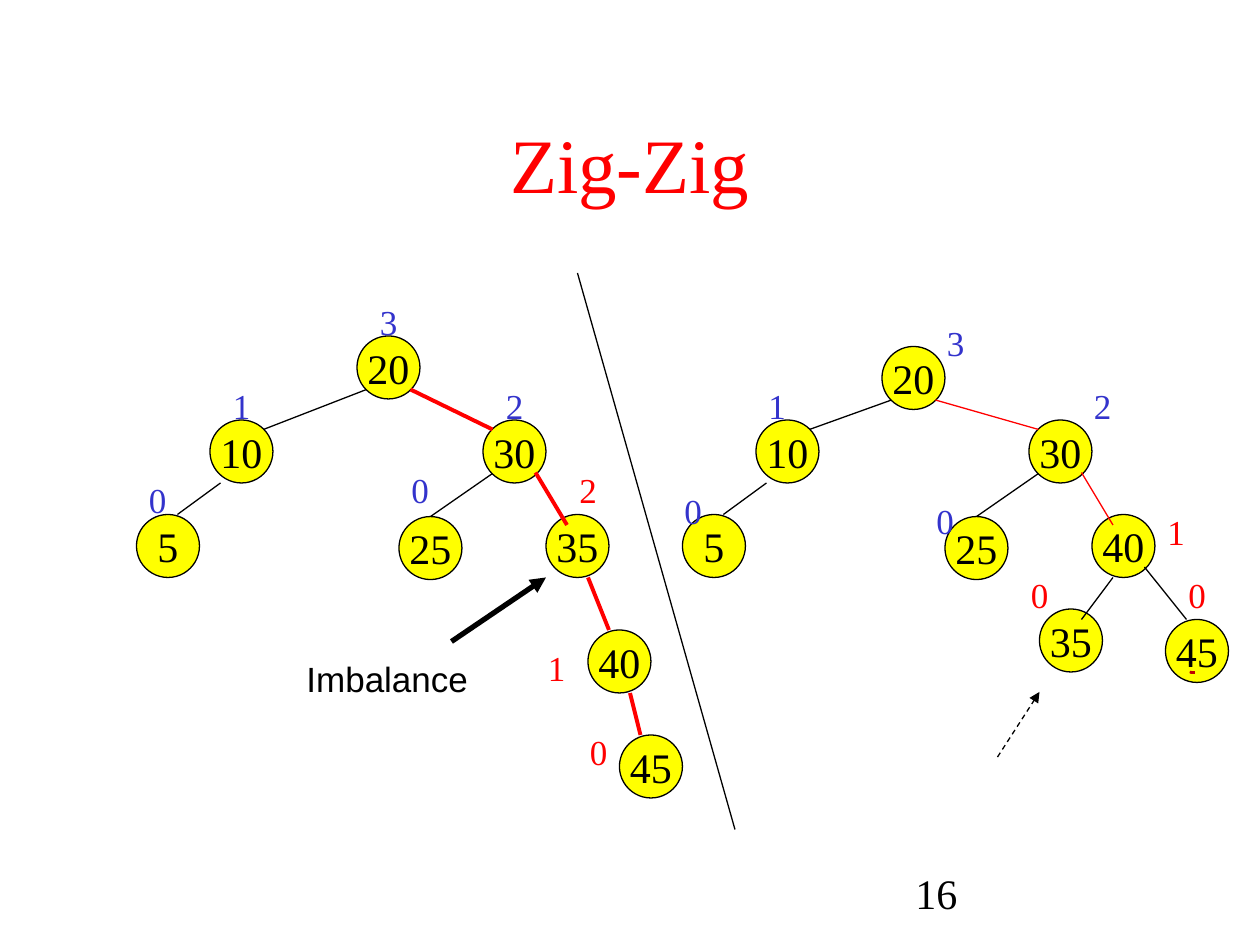
from lxml.etree import SubElement
from pptx import Presentation
from pptx.dml.color import RGBColor
from pptx.enum.dml import MSO_LINE
from pptx.enum.shapes import MSO_CONNECTOR, MSO_SHAPE
from pptx.enum.text import MSO_ANCHOR, MSO_AUTO_SIZE, PP_ALIGN
from pptx.oxml.ns import qn
from pptx.util import Inches, Pt

COLORS = {"black": "000000", "red": "FF0000", "blue": "3333CC",
          "yellow": "FFFF00", "ink": "C00000"}
SERIF, SANS = "Times New Roman", "Arial"

# Positions are (column, row) on a grid of 120 columns by 90 rows
COLUMNS, ROWS = 120, 90
WIDTH, HEIGHT = 10, 7.5
NODE_SIZE = 6
HEIGHT_BOX = (4.05, 5.25)

# Each tree: nodes (key, column, row), edges (start, end, colour, width),
# subtree heights (value, column, row, colour)
TREES = [
    {
        "nodes": [("20", 34, 32), ("10", 20, 40), ("30", 46, 40), ("5", 13, 49),
                  ("25", 38, 49.2), ("35", 52, 49), ("40", 56, 60), ("45", 59, 70)],
        "edges": [((34.9, 37.1), (25.1, 40.9), "black", 0.75),
                  ((39.1, 37.1), (46.9, 40.9), "red", 2.25),
                  ((21, 46), (16.9, 49), "black", 0.75),
                  ((46.9, 45.1), (41, 49.2), "black", 0.75),
                  ((51, 45), (54, 50), "red", 2.25),
                  ((56, 55), (58, 60), "red", 2.25),
                  ((60, 66), (61, 70), "red", 2.25)],
        "heights": [("3", 35, 28, "blue"), ("1", 21, 36, "blue"),
                    ("2", 47, 36, "blue"), ("0", 13, 45, "blue"),
                    ("0", 38, 44, "blue"), ("2", 54, 44, "red"),
                    ("1", 51, 61, "red"), ("0", 55, 69, "red")],
    },
    {
        "nodes": [("20", 84, 33), ("10", 72, 40), ("30", 98, 40), ("5", 65, 49),
                  ("25", 90, 49.2), ("40", 104, 49), ("35", 99, 58), ("45", 111, 59)],
        "edges": [((84.9, 38.1), (77.1, 40.9), "black", 0.75),
                  ((89.1, 38.1), (98.9, 40.9), "red", 0.75),
                  ((73, 46), (68.9, 49), "black", 0.75),
                  ((98.9, 45.1), (93, 49.2), "black", 0.75),
                  ((103, 45), (106, 50), "red", 0.75),
                  ((106, 55), (103, 59), "black", 0.75),
                  ((109, 54), (113, 59), "black", 0.75)],
        "heights": [("3", 89, 30, "blue"), ("1", 72, 36, "blue"),
                    ("2", 103, 36, "blue"), ("0", 64, 46, "blue"),
                    ("0", 88, 47, "blue"), ("1", 110, 48, "red"),
                    ("0", 97, 54, "red"), ("0", 112, 54, "red")],
    },
]
INK_STROKE = [(113.5, 63.95), (113.4, 64.05), (113.8, 64.05)]

prs = Presentation()
prs.slide_width, prs.slide_height = Inches(WIDTH), Inches(HEIGHT)
slide = prs.slides.add_slide(prs.slide_layouts[6])


def x(column):
    return Inches(WIDTH * column / COLUMNS)


def y(row):
    return Inches(HEIGHT * row / ROWS)


def color(name):
    return RGBColor.from_string(COLORS[name])


def write(shape, text, *, size=20, font=SERIF, ink="black", align=PP_ALIGN.LEFT,
          anchor=MSO_ANCHOR.TOP, wrap=True, grow=False, before=0):
    frame = shape.text_frame
    frame.word_wrap = wrap
    frame.vertical_anchor = anchor
    frame.auto_size = MSO_AUTO_SIZE.SHAPE_TO_FIT_TEXT if grow else MSO_AUTO_SIZE.NONE
    paragraph = frame.paragraphs[0]
    paragraph.alignment = align
    paragraph.space_before = Pt(before)
    run = paragraph.add_run()
    run.text = text
    run.font.size, run.font.name = Pt(size), font
    run.font.color.rgb = color(ink)


def add_text(text, column, row, width, height, **style):
    box = slide.shapes.add_textbox(x(column), y(row), x(width), y(height))
    write(box, text, **style)


def add_line(start, end, ink="black", width=0.75, arrow=False, dashed=False):
    line = slide.shapes.add_connector(MSO_CONNECTOR.STRAIGHT, x(start[0]), y(start[1]),
                                      x(end[0]), y(end[1]))
    line.line.color.rgb = color(ink)
    line.line.width = Pt(width)
    if dashed:
        line.line.dash_style = MSO_LINE.DASH
    if arrow:
        SubElement(line.line._get_or_add_ln(), qn("a:tailEnd"), type="triangle")
    SubElement(line._element.spPr, qn("a:effectLst"))
    return line


def add_node(key, column, row):
    node = slide.shapes.add_shape(MSO_SHAPE.OVAL, x(column), y(row),
                                  x(NODE_SIZE), y(NODE_SIZE))
    node.shadow.inherit = False
    node.fill.solid()
    node.fill.fore_color.rgb = color("yellow")
    node.line.color.rgb = color("black")
    node.line.width = Pt(0.75)
    write(node, key, size=24, align=PP_ALIGN.CENTER, anchor=MSO_ANCHOR.MIDDLE, wrap=False)
    return node


# Title and page number
add_text("Zig-Zig", 9, 8, 102, 15, size=44, ink="red",
         align=PP_ALIGN.CENTER, anchor=MSO_ANCHOR.MIDDLE)
add_text("16", 86, 82, 25, 6, size=24)

# Trees before and after the rotation
for tree in TREES:
    node_tops = {(column + NODE_SIZE / 2, row): add_node(key, column, row)
                 for key, column, row in tree["nodes"]}
    for start, end, ink, width in tree["edges"]:
        edge = add_line(start, end, ink, width)
        if end in node_tops:
            edge.end_connect(node_tops[end], 0)
    for value, column, row, ink in tree["heights"]:
        add_text(value, column, row, *HEIGHT_BOX, ink=ink, grow=True)

# Divider, callout and pointers
add_line((55, 26), (70, 79))
add_text("Imbalance", 28, 62, 18, 5.25, font=SANS, grow=True, before=12.5)
add_line((43, 61.1), (52, 55), width=3, arrow=True)
add_line((95, 72.1), (99, 65.9), arrow=True, dashed=True)

# Small ink stroke on the last node
stroke_points = [(x(column), y(row)) for column, row in INK_STROKE]
builder = slide.shapes.build_freeform(*stroke_points[0])
builder.add_line_segments(stroke_points[1:], close=False)
stroke = builder.convert_to_shape()
stroke.shadow.inherit = False
stroke.fill.background()
stroke.line.color.rgb = color("ink")
stroke.line.width = Pt(1.5)

prs.save("out.pptx")
